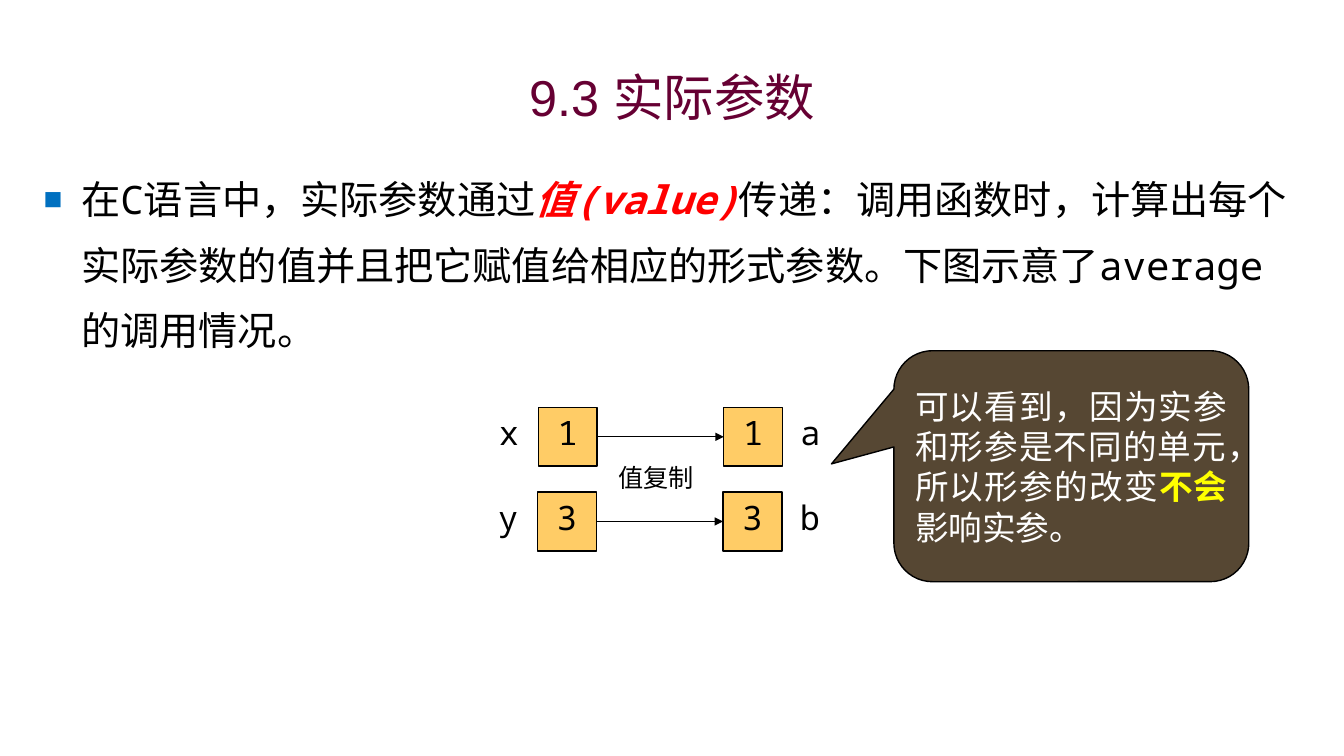
from lxml.etree import SubElement
from pptx import Presentation
from pptx.dml.color import RGBColor
from pptx.enum.lang import MSO_LANGUAGE_ID
from pptx.enum.shapes import MSO_CONNECTOR, MSO_SHAPE
from pptx.enum.text import MSO_ANCHOR, PP_ALIGN
from pptx.oxml.ns import qn
from pptx.util import Pt

MONO = "Noto Sans Mono"
CELL = 42


def rgb(value):
    return RGBColor.from_string(value)


def write(sp, runs, size, font=MONO, align=PP_ALIGN.CENTER, anchor=MSO_ANCHOR.TOP):
    """Fill a shape with one paragraph of (text, colour, bold, italic) runs."""
    tf = sp.text_frame
    tf.word_wrap = True
    tf.vertical_anchor = anchor
    p = tf.paragraphs[0]
    p.alignment = align
    for text, color, bold, italic in runs:
        r = p.add_run()
        r.text = text
        r.font.name = font
        r.font.size = Pt(size)
        r.font.bold = bold
        r.font.italic = italic
        r.font.color.rgb = rgb(color)
        r.font.language_id = MSO_LANGUAGE_ID.SIMPLIFIED_CHINESE
    return p


def add_text(s, x, y, w, h, runs, size, **style):
    sp = s.shapes.add_textbox(Pt(x), Pt(y), Pt(w), Pt(h))
    return write(sp, runs, size, **style)


def add_box(s, kind, x, y, w, h, fill):
    sp = s.shapes.add_shape(kind, Pt(x), Pt(y), Pt(w), Pt(h))
    sp.shadow.inherit = False
    sp.fill.solid()
    sp.fill.fore_color.rgb = rgb(fill)
    sp.line.color.rgb = rgb("000000")
    sp.line.width = Pt(1)
    return sp


def add_arrow(s, x1, x2, y):
    line = s.shapes.add_connector(MSO_CONNECTOR.STRAIGHT, Pt(x1), Pt(y), Pt(x2), Pt(y))
    line.line.color.rgb = rgb("000000")
    line.line.width = Pt(1)
    SubElement(line.line._get_or_add_ln(), qn("a:tailEnd"), type="triangle")
    SubElement(line._element.spPr, qn("a:effectLst"))


def add_bullet(p, char, color, percent, indent):
    pPr = p._p.get_or_add_pPr()
    pPr.set("marL", str(Pt(indent)))
    pPr.set("indent", str(-Pt(indent)))
    clr = SubElement(pPr, qn("a:buClr"))
    SubElement(clr, qn("a:srgbClr"), val=color)
    SubElement(pPr, qn("a:buSzPct"), val=str(percent * 1000))
    SubElement(pPr, qn("a:buFont"), typeface="Arial")
    SubElement(pPr, qn("a:buChar"), char=char)


def add_copy_row(s, x, y, value, argument, parameter):
    """An argument cell whose value is copied to a parameter cell."""
    target = x + 132.5
    for left, label_x, name in ((x, x - CELL, argument),
                                (target, target + CELL - 1, parameter)):
        sp = add_box(s, MSO_SHAPE.RECTANGLE, left, y, CELL, CELL, "FFCC66")
        write(sp, [(value, "000000", False, False)], 24)
        add_text(s, label_x, y, CELL, CELL, [(name, "000000", False, False)], 24)
    add_arrow(s, x + CELL, target, y + CELL / 2)


def add_callout(s, x, y, w, h, runs):
    sp = add_box(s, MSO_SHAPE.ROUNDED_RECTANGULAR_CALLOUT, x, y, w, h, "2C1A00")
    for i, value in enumerate((-0.676, -0.01, 0.167)):
        sp.adjustments[i] = value
    color = sp._element.spPr.find(qn("a:solidFill"))[0]
    SubElement(color, qn("a:alpha"), val="80000")
    write(sp, runs, 24, align=PP_ALIGN.JUSTIFY, anchor=MSO_ANCHOR.MIDDLE)


def main():
    prs = Presentation()
    prs.slide_width, prs.slide_height = Pt(960), Pt(540)
    s = prs.slides.add_slide(prs.slide_layouts[6])

    # Title
    add_text(s, 72, 42, 816, 54, [("9.3 实际参数", "660033", False, False)], 36,
             font="Arial", anchor=MSO_ANCHOR.MIDDLE)

    # Explanation
    p = add_text(s, 24, 108, 912, 408, [
        ("在C语言中，实际参数通过", "000000", False, False),
        ("值(value)", "FF0000", True, True),
        ("传递：调用函数时，计算出每个实际参数的值并且把它赋值给相应的形式参数。"
         "下图示意了average的调用情况。", "000000", False, False),
    ], 28, align=PP_ALIGN.LEFT)
    p.line_spacing = 1.4
    add_bullet(p, "■", "0070C0", 80, 27)

    # Copying of the values
    add_copy_row(s, 384.5, 291, "1", "x", "a")
    add_copy_row(s, 384, 351.5, "3", "y", "b")
    add_text(s, 405.5, 327, 126, CELL, [("值复制", "000000", False, False)], 18)

    # Conclusion
    add_callout(s, 638.5, 250.5, 253.5, 165, [
        ("可以看到，因为实参和形参是不同的单元，所以形参的改变", "FFFFFF", False, False),
        ("不会", "FFFF00", True, False),
        ("影响实参。", "FFFFFF", False, False),
    ])

    prs.save("out.pptx")


if __name__ == "__main__":
    main()
